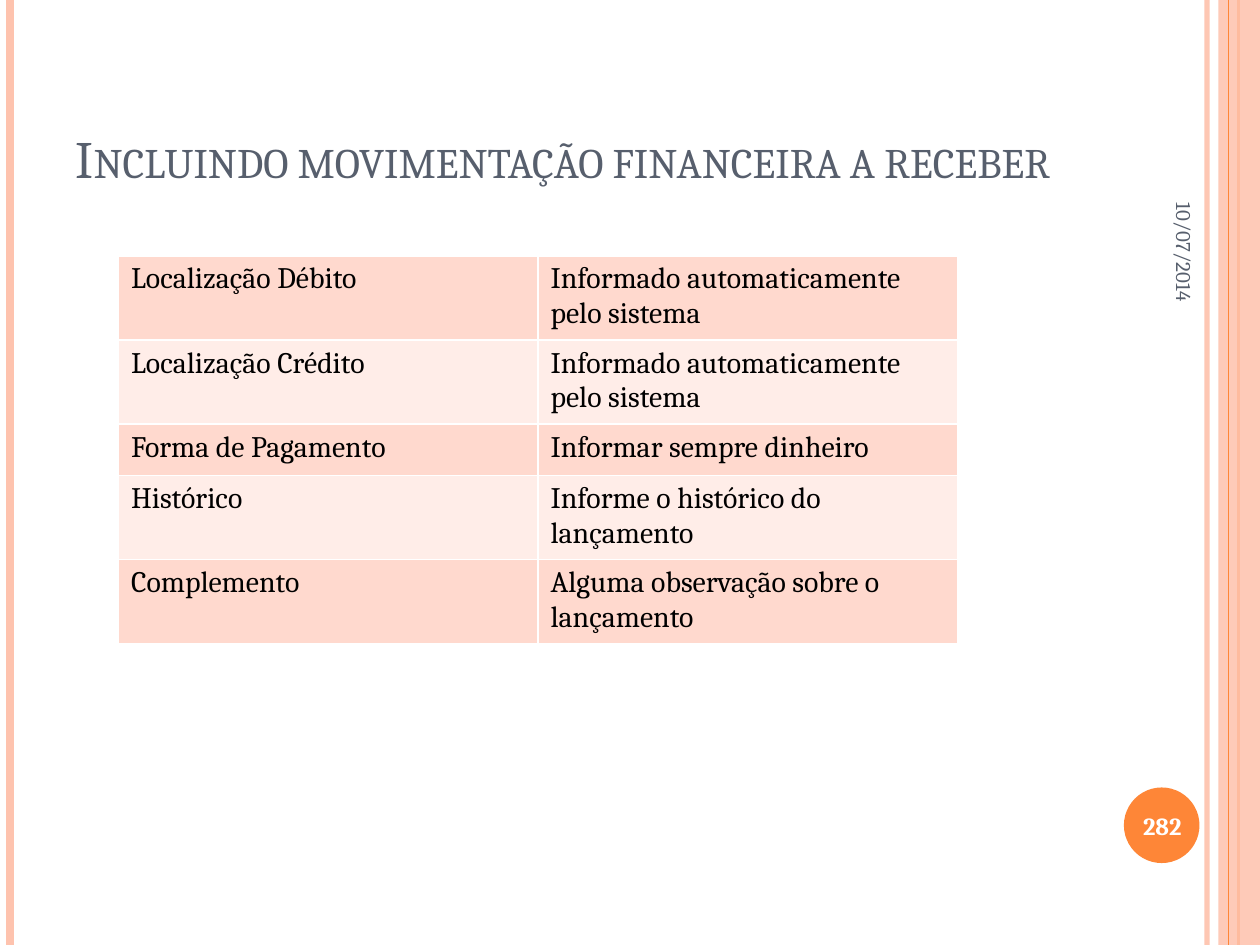
import pptx
import pptx.util
import pptx.dml.color
import pptx.enum.shapes
import pptx.enum.text
import pptx.oxml.ns
from lxml import etree

Inches = pptx.util.Inches
Pt = pptx.util.Pt
ALIGN = pptx.enum.text.PP_ALIGN
ANCHOR = pptx.enum.text.MSO_ANCHOR
SHAPE = pptx.enum.shapes.MSO_SHAPE

FONT = "Cambria"
COLORS = {
    "orange": "FE8637",
    "peach": "FEC3AE",
    "slate": "575F6D",
    "band_dark": "FFD9CE",
    "band_light": "FFEDE8",
    "white": "FFFFFF",
    "black": "000000",
}
ROWS = [
    ("Localização Débito", "Informado automaticamente pelo sistema"),
    ("Localização Crédito", "Informado automaticamente pelo sistema"),
    ("Forma de Pagamento", "Informar sempre dinheiro"),
    ("Histórico", "Informe o histórico do lançamento"),
    ("Complemento", "Alguma observação sobre o lançamento"),
]


def rgb(name):
    return pptx.dml.color.RGBColor.from_string(COLORS[name])


def sub(parent, tag, **attrs):
    return etree.SubElement(parent, pptx.oxml.ns.qn(tag), **attrs)


def set_alpha(sp, percent):
    """Apply opacity to the first solid colour of a shape or line."""
    color = next(sp._element.spPr.iter(pptx.oxml.ns.qn("a:srgbClr")))
    sub(color, "a:alpha", val=str(percent * 1000))


def write(tf, text, size, color, align=ALIGN.LEFT, anchor=ANCHOR.TOP, bold=False):
    tf.text = text
    tf.word_wrap = True
    tf.vertical_anchor = anchor
    p = tf.paragraphs[0]
    p.alignment = align
    r = p.runs[0]
    r.font.name = FONT
    r.font.size = Pt(size)
    r.font.bold = bold
    r.font.color.rgb = rgb(color)
    return r


def add_stripe(s, x, width, color):
    """Full-height vertical line."""
    line = s.shapes.add_connector(
        pptx.enum.shapes.MSO_CONNECTOR.STRAIGHT,
        Inches(x), Inches(0), Inches(x), Inches(7.5))
    line.line.width = Pt(width)
    line.line.color.rgb = rgb(color)
    sub(line._element.spPr, "a:effectLst")
    return line


def add_filled(s, kind, x, y, w, h, color):
    sp = s.shapes.add_shape(kind, Inches(x), Inches(y), Inches(w), Inches(h))
    sp.shadow.inherit = False
    sp.fill.solid()
    sp.fill.fore_color.rgb = rgb(color)
    sp.line.fill.background()
    return sp


def add_text(s, x, y, w, h, text, size, color, **style):
    box = s.shapes.add_textbox(Inches(x), Inches(y), Inches(w), Inches(h))
    write(box.text_frame, text, size, color, **style)
    return box


def set_title(s, text):
    title = s.shapes.title
    title.left, title.top = Inches(0.5), Inches(0.3)
    title.width, title.height = Inches(8.17), Inches(1.25)
    r = write(title.text_frame, text, 30, "slate", anchor=ANCHOR.BOTTOM)
    r.font._element.set("cap", "small")


def style_cell(cell, text, fill):
    # Borders must come before the fill in the cell properties
    tcPr = cell._tc.get_or_add_tcPr()
    for side in ("a:lnL", "a:lnR", "a:lnT", "a:lnB"):
        ln = sub(tcPr, side, w=str(Pt(1)))
        sub(sub(ln, "a:solidFill"), "a:srgbClr", val=COLORS["white"])
    cell.fill.solid()
    cell.fill.fore_color.rgb = rgb(fill)
    cell.text = text
    font = cell.text_frame.paragraphs[0].runs[0].font
    font.name = FONT
    font.size = Pt(17)
    font.bold = False
    font.color.rgb = rgb("black")


def add_field_table(s):
    row_h = 0.41
    table = s.shapes.add_table(
        len(ROWS), 2, Inches(0.94), Inches(2.03),
        Inches(6.66), Inches(row_h * len(ROWS))).table
    table.first_row = False
    for col in table.columns:
        col.width = Inches(3.33)
    for i, texts in enumerate(ROWS):
        table.rows[i].height = Inches(row_h)
        for j, text in enumerate(texts):
            style_cell(table.cell(i, j), text, ("band_dark", "band_light")[i % 2])


def add_frame(s):
    """Side stripes and the page number disc."""
    set_alpha(add_stripe(s, 9.58, 3, "peach"), 93)
    add_stripe(s, 0.08, 4.5, "peach")
    add_stripe(s, 9.83, 1.5, "orange")
    set_alpha(add_filled(s, SHAPE.RECTANGLE, 9.67, 0, 0.33, 7.5, "peach"), 87)
    add_stripe(s, 9.75, 0.75, "orange")
    add_filled(s, SHAPE.OVAL, 8.92, 6.25, 0.6, 0.6, "orange")


def main():
    prs = pptx.Presentation()
    prs.slide_width, prs.slide_height = Inches(10), Inches(7.5)
    s = prs.slides.add_slide(prs.slide_layouts[5])

    add_frame(s)
    set_title(s, "Incluindo movimentação financeira a receber")

    # Date running down the right edge, and page number
    date = add_text(s, 8.3, 1.18, 2.2, 0.42, "10/07/2014", 12, "slate",
                    align=ALIGN.RIGHT, anchor=ANCHOR.MIDDLE)
    date.rotation = 90
    add_text(s, 8.89, 6.27, 0.67, 0.57, "282", 14, "white",
             align=ALIGN.CENTER, anchor=ANCHOR.MIDDLE, bold=True)

    add_field_table(s)
    prs.save("out.pptx")


if __name__ == "__main__":
    main()
